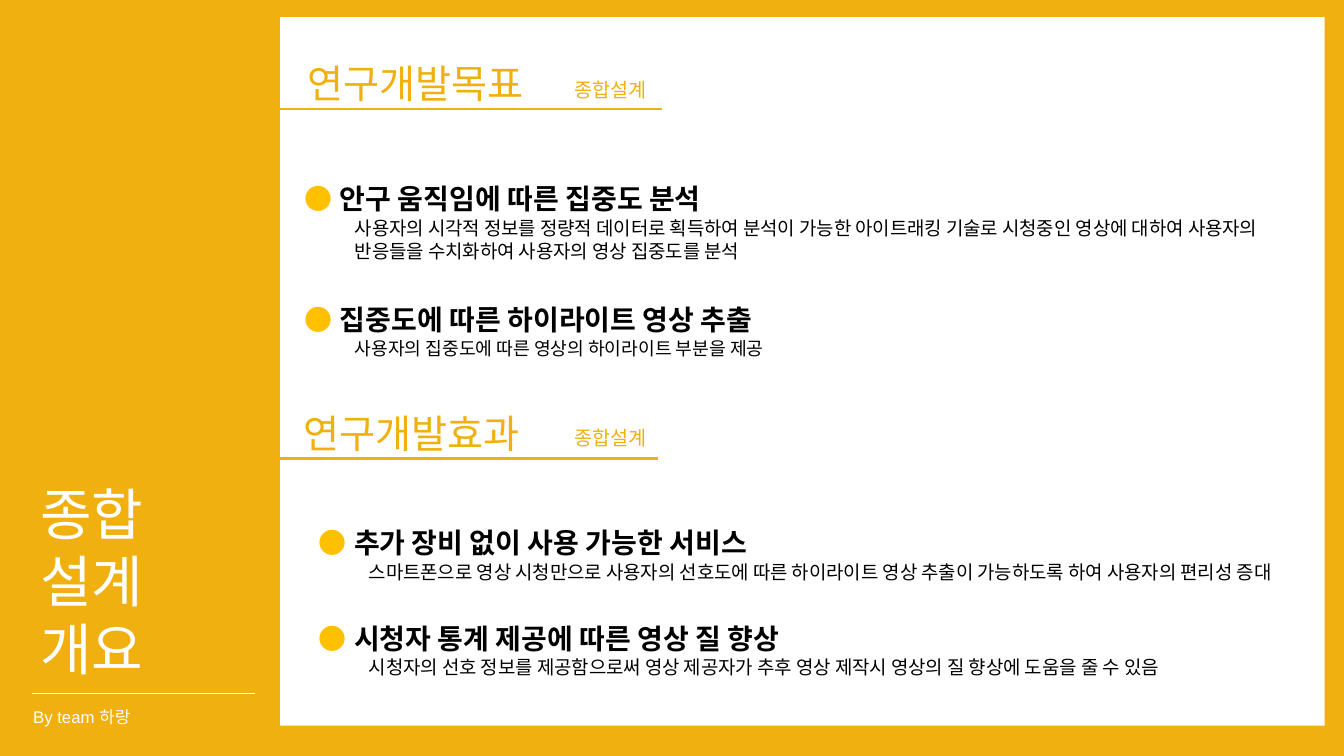
from lxml import etree
from pptx import Presentation
from pptx.dml.color import RGBColor
from pptx.enum.shapes import MSO_CONNECTOR, MSO_SHAPE
from pptx.enum.text import MSO_ANCHOR, MSO_AUTO_SIZE, PP_ALIGN
from pptx.oxml.ns import qn
from pptx.util import Inches, Pt

STRAIGHT = MSO_CONNECTOR.STRAIGHT
RECTANGLE = MSO_SHAPE.RECTANGLE
TOP = MSO_ANCHOR.TOP
NO_AUTOFIT = MSO_AUTO_SIZE.NONE
LEFT = PP_ALIGN.LEFT

AMBER = RGBColor(0xF0, 0xB0, 0x10)
BULLET_GOLD = RGBColor(0xFF, 0xC0, 0x00)
WHITE = RGBColor(0xFF, 0xFF, 0xFF)
BLACK = RGBColor(0x00, 0x00, 0x00)

# heading, heading box (left, top, width), rule (left, top), tag top
SECTIONS = [
    ("연구개발목표", (2.95, 0.54, 2.7), (2.78, 1.08), 0.72),
    ("연구개발효과", (2.91, 4.01, 2.67), (2.74, 4.55), 4.18),
]
# box (left, top, width, height), headline, detail, detail size
POINTS = [
    ((2.92, 1.7, 10.08, 1.2), "안구 움직임에 따른 집중도 분석",
     "사용자의 시각적 정보를 정량적 데이터로 획득하여 분석이 가능한 아이트래킹 기술로 "
     "시청중인 영상에 대하여 사용자의 반응들을 수치화하여 사용자의 영상 집중도를 분석", 13.5),
    ((2.92, 2.9, 10.08, 0.79), "집중도에 따른 하이라이트 영상 추출",
     "사용자의 집중도에 따른 영상의 하이라이트 부분을 제공", 13),
    ((3.06, 5.11, 9.9, 0.84), "추가 장비 없이 사용 가능한 서비스",
     "스마트폰으로 영상 시청만으로 사용자의 선호도에 따른 하이라이트 영상 추출이 "
     "가능하도록 하여 사용자의 편리성 증대", 13.5),
    ((3.06, 6.06, 9.9, 0.84), "시청자 통계 제공에 따른 영상 질 향상",
     "시청자의 선호 정보를 제공함으로써 영상 제공자가 추후 영상 제작시 영상의 질 "
     "향상에 도움을 줄 수 있음", 13.5),
]


class SlideBuilder:
    font_name = "Arial"

    def __init__(self, slide):
        self.slide = slide
        slide.background.fill.solid()
        slide.background.fill.fore_color.rgb = AMBER

    def style(self, font, size, color, bold=False):
        font.name = self.font_name
        font.size = Pt(size)
        font.color.rgb = color
        font.bold = bold

    def panel(self, box, color):
        panel = self.slide.shapes.add_shape(RECTANGLE, *map(Inches, box))
        panel.shadow.inherit = False
        panel.fill.solid()
        panel.fill.fore_color.rgb = color
        panel.line.fill.background()

    def title(self, box, lines, size, color):
        title = self.slide.shapes.title
        title.left, title.top, title.width, title.height = map(Inches, box)
        frame = title.text_frame
        frame.auto_size = NO_AUTOFIT
        frame.vertical_anchor = TOP
        frame.text = "\n".join(lines)
        for paragraph in frame.paragraphs:
            paragraph.alignment = LEFT
            self.style(paragraph.font, size, color)

    def rule(self, left, top, width, color, weight):
        """Draw a horizontal line."""
        rule = self.slide.shapes.add_connector(
            STRAIGHT, Inches(left), Inches(top), Inches(left + width), Inches(top))
        rule.line.color.rgb = color
        rule.line.width = Pt(weight)
        etree.SubElement(rule._element.spPr, qn("a:effectLst"))

    def label(self, box, text, size, color):
        frame = self.slide.shapes.add_textbox(*map(Inches, box)).text_frame
        frame.word_wrap = False
        paragraph = frame.paragraphs[0]
        paragraph.text = text
        self.style(paragraph.font, size, color)

    def point(self, box, headline, detail, detail_size):
        """Write a bold headline after a gold dot, with an indented detail below."""
        frame = self.slide.shapes.add_textbox(*map(Inches, box)).text_frame
        frame.word_wrap = True
        head = frame.paragraphs[0]
        for text, size, color, bold in (("●", 20, BULLET_GOLD, False),
                                        (" ", 24, BULLET_GOLD, False),
                                        (headline, 20, BLACK, True)):
            run = head.add_run()
            run.text = text
            self.style(run.font, size, color, bold)
        body = frame.add_paragraph()
        body.text = detail
        body._p.get_or_add_pPr().set("marL", str(Inches(0.5)))
        self.style(body.font, detail_size, BLACK)


def main():
    prs = Presentation()
    prs.slide_width, prs.slide_height = Inches(13.33), Inches(7.5)
    builder = SlideBuilder(prs.slides.add_slide(prs.slide_layouts[5]))

    builder.panel((2.78, 0.17, 10.36, 7.03), WHITE)
    builder.title((0.3, 4.71, 1.49, 2.12), ("종합", "설계", "개요"), 40, WHITE)
    builder.rule(0.32, 6.88, 2.21, WHITE, 1.25)
    builder.label((0.23, 6.96, 1.22, 0.3), "By team 하랑", 12, WHITE)

    for heading, heading_box, rule_start, tag_top in SECTIONS:
        builder.rule(*rule_start, 3.79, AMBER, 1.75)
        builder.label((*heading_box, 0.57), heading, 28, AMBER)
        builder.label((5.6, tag_top, 0.99, 0.34), "종합설계", 14, AMBER)
    for point in POINTS:
        builder.point(*point)

    prs.save("out.pptx")


if __name__ == "__main__":
    main()
